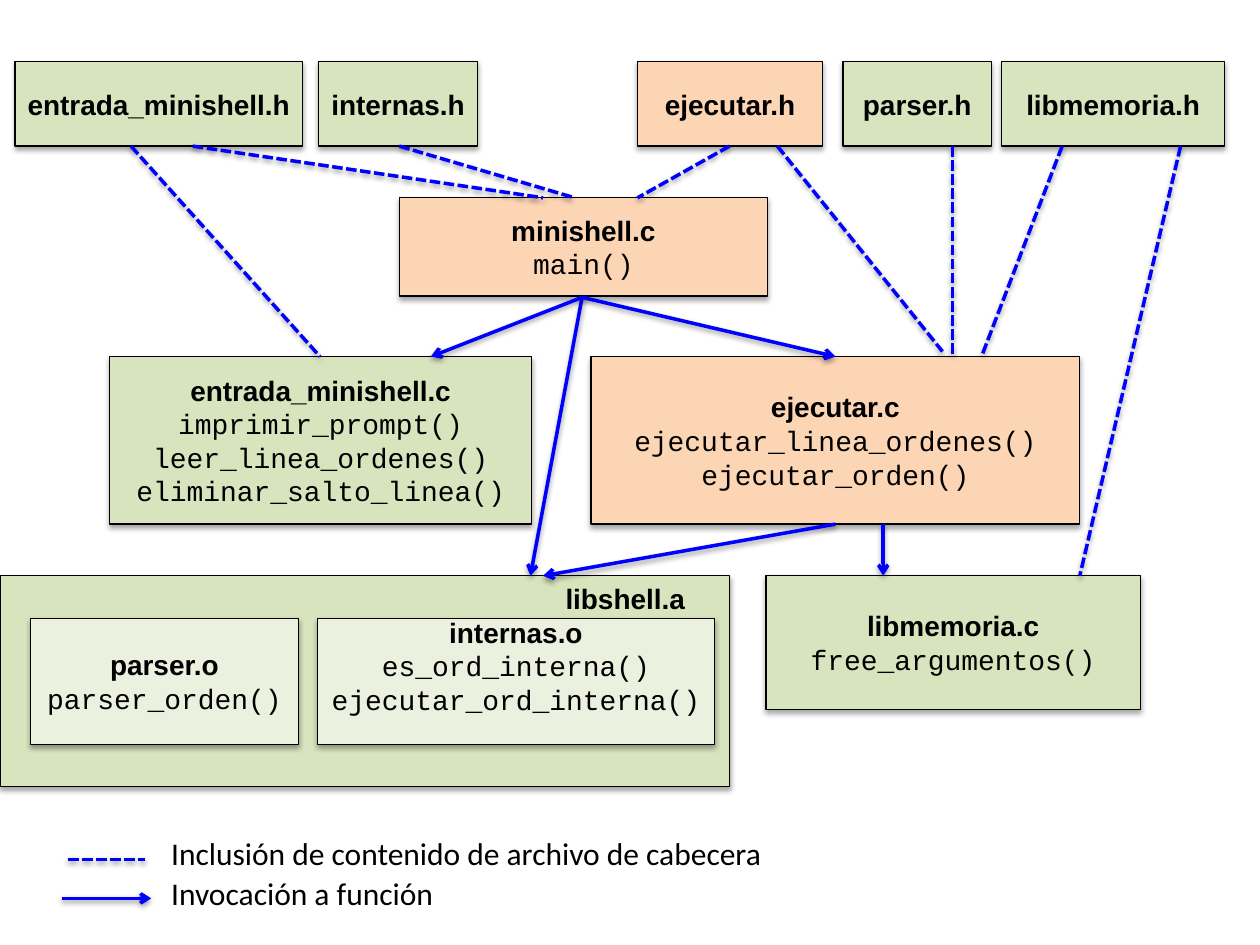
"""Draw the module diagram of a small shell written in C."""
from dataclasses import dataclass

from lxml.etree import SubElement
from pptx import Presentation
from pptx.dml.color import RGBColor
from pptx.enum.dml import MSO_LINE
from pptx.enum.shapes import MSO_CONNECTOR, MSO_SHAPE
from pptx.enum.text import MSO_ANCHOR, PP_ALIGN
from pptx.oxml.ns import qn
from pptx.util import Inches, Pt

DASH = MSO_LINE.SQUARE_DOT
STRAIGHT = MSO_CONNECTOR.STRAIGHT
PROCESS = MSO_SHAPE.FLOWCHART_PROCESS
MIDDLE = MSO_ANCHOR.MIDDLE
CENTER = PP_ALIGN.CENTER
GREEN, PALE, PEACH = "D7E4BD", "EBF1DE", "FCD5B5"
BLACK, BLUE = "000000", "0000FF"
HEAD_TOP, HEAD_HIGH = 0.49, 0.67
HEAD_END, MAIN_TOP, MAIN_END = 1.16, 1.57, 2.36
CODE_TOP, CODE_END, LIB_TOP = 2.83, 4.16, 4.57
MAIN_MID = 4.62


@dataclass
class Box:
    left: float
    top: float
    wide: float
    high: float
    fill: str
    name: str = ""
    calls: tuple[str, ...] = ()
    foot: float = 0.05


@dataclass
class Link:
    start: tuple[float, float]
    end: tuple[float, float]
    call: bool = False


@dataclass
class Label:
    left: float
    top: float
    wide: float
    high: float
    text: str
    size: int = 18
    font: str = "Calibri"
    bold: bool = False


HEADS = [
    Box(left, HEAD_TOP, wide, HEAD_HIGH, fill, name)
    for left, wide, fill, name in (
        (0.12, 2.28, GREEN, "entrada_minishell.h"),
        (2.53, 1.26, GREEN, "internas.h"),
        (5.06, 1.47, PEACH, "ejecutar.h"),
        (6.69, 1.18, GREEN, "parser.h"),
        (7.95, 1.77, GREEN, "libmemoria.h"),
    )
]
BOXES = HEADS + [
    Box(0, LIB_TOP, 5.79, 1.67, GREEN),
    Box(0.24, 4.91, 2.13, 1, PALE, "parser.o", ("parser_orden()",)),
    Box(2.52, 4.91, 3.15, 1, PALE, "internas.o",
        ("es_ord_interna()", "ejecutar_ord_interna()"), 0.3),
    Box(3.17, MAIN_TOP, 2.92, 0.78, PEACH, "minishell.c", ("main()",)),
    Box(0.87, CODE_TOP, 3.35, 1.33, GREEN, "entrada_minishell.c",
        ("imprimir_prompt()", "leer_linea_ordenes()", "eliminar_salto_linea()")),
    Box(4.69, CODE_TOP, 3.88, 1.33, PEACH, "ejecutar.c",
        ("ejecutar_linea_ordenes()", "ejecutar_orden()")),
    Box(6.08, LIB_TOP, 2.97, 1.06, GREEN, "libmemoria.c", ("free_argumentos()",)),
]
LINKS = [
    Link((1.53, HEAD_END), (4.31, MAIN_TOP)),
    Link((3.17, HEAD_END), (4.56, MAIN_TOP)),
    Link((5.79, HEAD_END), (5.06, MAIN_TOP)),
    Link((1.04, HEAD_END), (2.54, CODE_TOP)),
    Link((6.17, HEAD_END), (7.48, 2.79)),
    Link((7.56, HEAD_END), (7.56, CODE_TOP)),
    Link((8.43, HEAD_END), (7.79, CODE_TOP)),
    Link((9.37, HEAD_END), (8.57, LIB_TOP)),
    Link((MAIN_MID, MAIN_END), (3.42, CODE_TOP), True),
    Link((MAIN_MID, MAIN_END), (6.63, CODE_TOP), True),
    Link((MAIN_MID, MAIN_END), (4.21, LIB_TOP), True),
    Link((6.63, CODE_END), (4.31, LIB_TOP), True),
    Link((7.01, CODE_END), (7.01, LIB_TOP), True),
    Link((0.54, 6.82), (1.15, 6.82)),
    Link((0.49, 7.13), (1.2, 7.13), True),
]
LABELS = [
    Label(4.39, LIB_TOP, 1.17, 0.37, "libshell.a", 16, "Arial", True),
    Label(1.26, 6.57, 4.91, 0.4, "Inclusión de contenido de archivo de cabecera"),
    Label(1.26, 6.89, 3.05, 0.4, "Invocación a función"),
]


def paint(target, color: str) -> None:
    """Set a fill, line or font to a solid colour."""
    if hasattr(target, "solid"):
        target.solid()
        target = target.fore_color
    else:
        target = target.color
    target.rgb = RGBColor.from_string(color)


def shade(shape, alpha: int, dist: float) -> None:
    """Give a shape or connector a soft shadow below it."""
    effect = SubElement(shape.element.spPr, qn("a:effectLst"))
    outer = SubElement(effect, qn("a:outerShdw"), blurRad=str(Pt(3.1)),
                       dist=str(Pt(dist)), dir="5400000", rotWithShape="0")
    tint = SubElement(outer, qn("a:srgbClr"), val=BLACK)
    SubElement(tint, qn("a:alpha"), val=str(alpha * 1000))


def write(para, text: str, font: str, size: int, bold: bool = False) -> None:
    """Add one formatted run to a paragraph."""
    run = para.add_run()
    run.text = text
    run.font.name, run.font.size, run.font.bold = font, Pt(size), bold
    paint(run.font, BLACK)


def draw_box(slide, box: Box) -> None:
    """Draw a module with its name and functions."""
    shape = slide.shapes.add_shape(
        PROCESS, *map(Inches, (box.left, box.top, box.wide, box.high)))
    paint(shape.fill, box.fill)
    paint(shape.line, BLACK)
    shape.line.width = Pt(0.75)
    shade(shape, 35, 1.8)
    if not box.name:
        return
    frame = shape.text_frame
    frame.word_wrap = True
    frame.vertical_anchor = MIDDLE
    frame.margin_left = frame.margin_right = Inches(0.05)
    frame.margin_bottom = Inches(box.foot)
    for row, text in enumerate((box.name, *box.calls)):
        para = frame.add_paragraph() if row else frame.paragraphs[0]
        para.alignment = CENTER
        write(para, text, "Courier New" if row else "Arial", 16, not row)


def draw_link(slide, link: Link) -> None:
    """Draw a dashed inclusion or a call arrow."""
    line = slide.shapes.add_connector(
        STRAIGHT, *map(Inches, (*link.start, *link.end)))
    paint(line.line, BLUE)
    line.line.width = Pt(2)
    if link.call:
        SubElement(line.element.spPr.find(qn("a:ln")), qn("a:tailEnd"), type="arrow")
    else:
        line.line.dash_style = DASH
    shade(line, 38, 1.6)


def draw_label(slide, label: Label) -> None:
    """Draw a line of free text."""
    area = slide.shapes.add_textbox(
        *map(Inches, (label.left, label.top, label.wide, label.high)))
    area.text_frame.word_wrap = False
    write(area.text_frame.paragraphs[0], label.text, label.font, label.size, label.bold)


def main() -> None:
    """Build and save the slide."""
    deck = Presentation()
    deck.slide_width, deck.slide_height = Inches(10), Inches(7.5)
    slide = deck.slides.add_slide(deck.slide_layouts[6])
    for draw, items in ((draw_box, BOXES), (draw_link, LINKS), (draw_label, LABELS)):
        for item in items:
            draw(slide, item)
    deck.save("out.pptx")


main()
